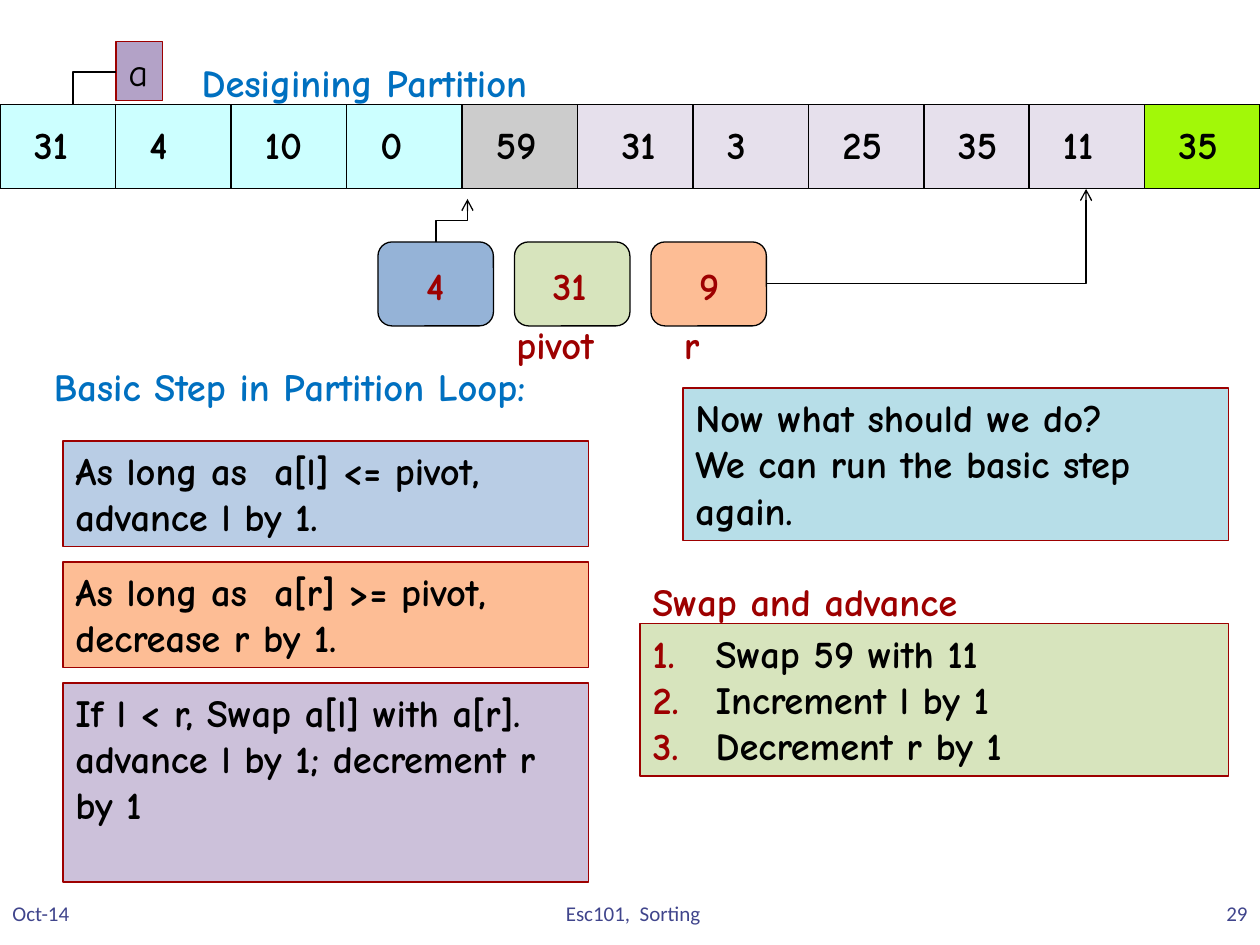
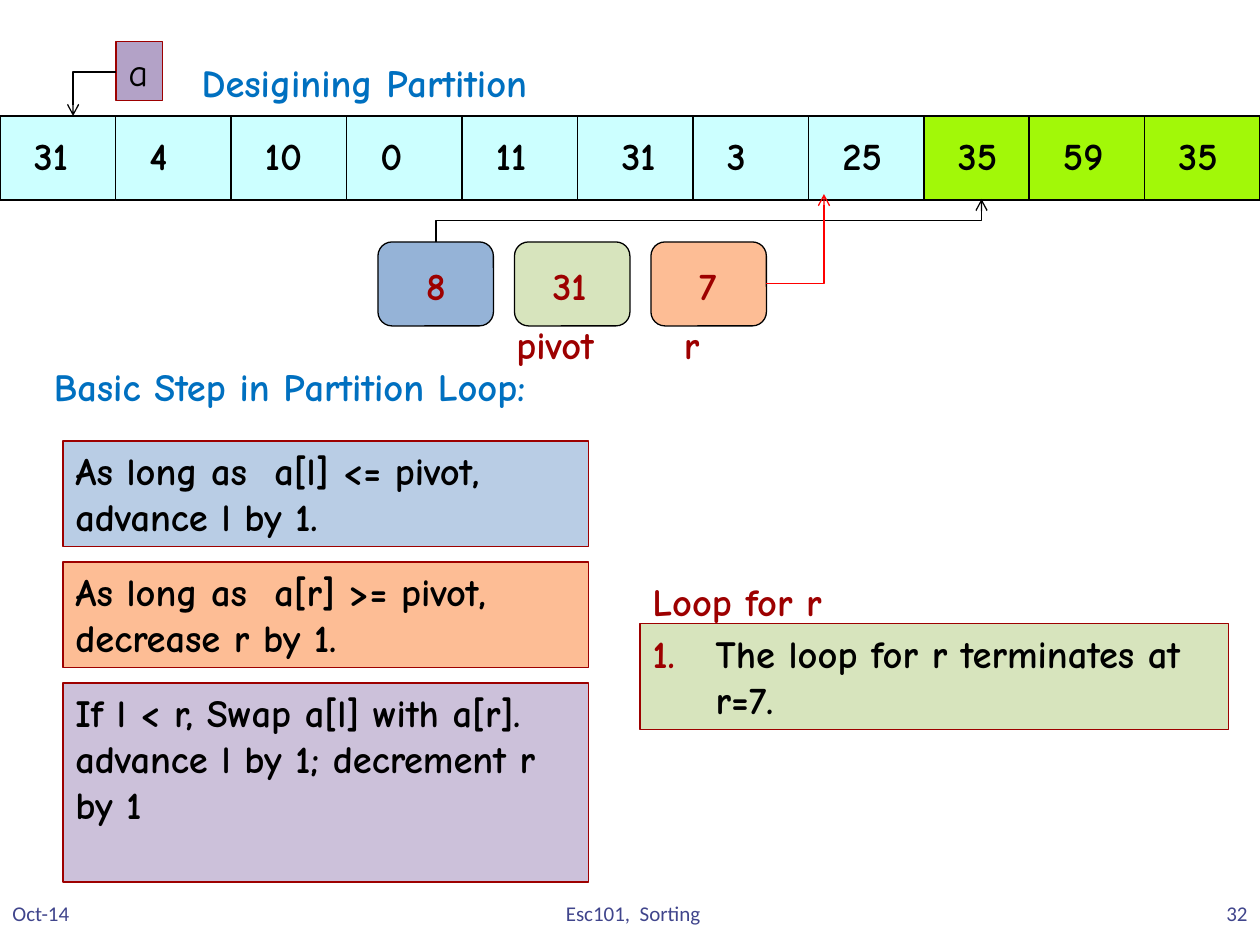
from dataclasses import dataclass

from lxml.etree import SubElement
from pptx import Presentation
from pptx.dml.color import RGBColor
from pptx.enum.shapes import MSO_CONNECTOR, MSO_SHAPE
from pptx.enum.text import MSO_ANCHOR, MSO_AUTO_SIZE, PP_ALIGN
from pptx.oxml.ns import qn
from pptx.util import Inches, Pt


@dataclass(frozen=True)
class Theme:
    font: str = "Comic Neue"
    footer_font: str = "Calibri"
    text_size: int = 22
    footer_size: int = 12
    line_width: float = 0.75
    black: str = "000000"
    dark_red: str = "9D0000"
    red: str = "FF0000"
    heading: str = "0070C0"
    footer: str = "40458C"
    low: str = "CCFFFF"
    current: str = "CCCCCC"
    unseen: str = "E6E0EC"
    high: str = "A2F808"
    left_index: str = "95B3D7"
    right_index: str = "FDBD95"
    pivot: str = "D7E4BD"
    array_name: str = "B3A2C7"
    left_step: str = "B9CDE5"
    swap_step: str = "CCC1DA"
    question: str = "B7DEE8"


THEME = Theme()
UNIT_WIDTH, UNIT_HEIGHT = 11 / 12, 2 / 3
CHIP_PITCH, CHIP_TOP = 13 / 12, 1.92
ROW_NARROWS_AFTER, ROW_SHIFT = 8, 1 / 12
STEP_TOP, STEP_PITCH = 3.5, 0.96
NARROW_INSET, WIDE_INSET = 0.27, 0.35
STEPS = [
    ("As long as  a[l] <= pivot, advance l by 1.", THEME.left_step, 0.84),
    ("As long as  a[r] >= pivot, decrease r by 1.", THEME.right_index, 0.84),
    ("If l < r, Swap a[l] with a[r].\nadvance l by 1; decrement r by 1",
     THEME.swap_step, 1.58),
]


class SlideBuilder:
    def __init__(self, presentation, theme):
        self.presentation = presentation
        self.theme = theme
        self.slide = None

    def new_slide(self):
        layout = self.presentation.slide_layouts.get_by_name("Title and Content")
        self.slide = self.presentation.slides.add_slide(layout)

    def place(self, shape, left, top, width, height):
        shape.left, shape.top = Inches(left), Inches(top)
        shape.width, shape.height = Inches(width), Inches(height)

    def set_text(self, shape, text, color=None, bold=True, size=None, font=None,
                 align=PP_ALIGN.LEFT, anchor=MSO_ANCHOR.TOP, wrap=True):
        frame = shape.text_frame
        frame.text = text
        frame.word_wrap = wrap
        frame.auto_size = (MSO_AUTO_SIZE.NONE if wrap
                           else MSO_AUTO_SIZE.SHAPE_TO_FIT_TEXT)
        frame.vertical_anchor = anchor
        for paragraph in frame.paragraphs:
            paragraph.alignment = align
            paragraph.space_before = Pt(0)
            for run in paragraph.runs:
                run.font.name = font or self.theme.font
                run.font.size = Pt(size or self.theme.text_size)
                run.font.bold = bold
                run.font.color.rgb = RGBColor.from_string(
                    color or self.theme.black)

    def paint(self, shape, fill, line):
        shape.fill.solid()
        shape.fill.fore_color.rgb = RGBColor.from_string(fill)
        self.outline(shape, line)

    def outline(self, shape, color):
        shape.line.color.rgb = RGBColor.from_string(color)
        shape.line.width = Pt(self.theme.line_width)

    def title(self, text):
        title = self.slide.shapes.title
        self.place(title, 1.5, 0.42, 3.06, 0.47)
        self.set_text(title, text, self.theme.heading, wrap=False)

    def label(self, text, left, top, width, color=None):
        box = self.slide.shapes.add_textbox(
            Inches(left), Inches(top), Inches(width), Inches(0.47))
        self.set_text(box, text, color or self.theme.dark_red, wrap=False)

    def box(self, text, left, top, width, height, fill, line=None,
            kind=MSO_SHAPE.RECTANGLE, **text_style):
        shape = self.slide.shapes.add_shape(
            kind, Inches(left), Inches(top), Inches(width), Inches(height))
        shape.shadow.inherit = False
        self.paint(shape, fill, line or self.theme.dark_red)
        self.set_text(shape, text, **text_style)
        return shape

    def number(self, value, left, top, fill, inset, **style):
        """Draw a cell or chip whose number starts at the given inset."""
        shape = self.box(value, left, top, UNIT_WIDTH, UNIT_HEIGHT, fill,
                         self.theme.black, **style)
        frame = shape.text_frame
        frame.margin_left, frame.margin_right = Inches(inset), 0
        frame.margin_top = Inches(0.13)

    def array(self, values, fills, top):
        for index, (value, fill) in enumerate(zip(values, fills)):
            left = index * UNIT_WIDTH
            if index > ROW_NARROWS_AFTER:
                left -= ROW_SHIFT
            inset = WIDE_INSET if index == 5 else NARROW_INSET
            self.number(value, left, top, fill, inset)

    def chips(self, left_index, pivot, right_index):
        theme = self.theme
        chips = [(left_index, theme.left_index, WIDE_INSET),
                 (pivot, theme.pivot, NARROW_INSET),
                 (right_index, theme.right_index, WIDE_INSET)]
        for position, (value, fill, inset) in enumerate(chips):
            self.number(value, 3 + position * CHIP_PITCH, CHIP_TOP, fill, inset,
                        kind=MSO_SHAPE.ROUNDED_RECTANGLE, color=theme.dark_red)
        self.label("pivot", 4, 2.5, 0.91)
        self.label("r", 5.33, 2.5, 0.35)

    def elbow(self, begin, end, preset, rotation=0, color=None):
        """Draw a bent arrow; begin and end are those before rotation."""
        connector = self.slide.shapes.add_connector(
            MSO_CONNECTOR.ELBOW, *(Inches(value) for value in (*begin, *end)))
        self.outline(connector, color or self.theme.black)
        properties = connector._element.spPr
        properties.find(qn("a:prstGeom")).set("prst", preset)
        if rotation:
            properties.find(qn("a:xfrm")).set("rot", str(rotation * 60000))
        SubElement(properties.find(qn("a:ln")), qn("a:tailEnd"), type="arrow")
        SubElement(properties, qn("a:effectLst"))

    def array_pointer(self):
        self.box("a", 0.92, 0.33, 0.37, 0.47, self.theme.array_name,
                 bold=False, wrap=False)
        self.elbow((0.58, 0.92), (0.92, 0.57), "bentConnector2", rotation=180)

    def left_pointer(self, target):
        start, bottom, top = 3.46, 1.92, 1.58
        middle_x, middle_y = (start + target) / 2, (bottom + top) / 2
        half_width, half_height = (bottom - top) / 2, (target - start) / 2
        self.elbow((middle_x + half_width, middle_y + half_height),
                   (middle_x - half_width, middle_y - half_height),
                   "bentConnector3", rotation=90)

    def right_pointer(self, target, top, color):
        self.elbow((6.08, 2.25), (target, top), "bentConnector2", color=color)

    def steps(self):
        self.label("Basic Step in Partition Loop:", 0.33, 2.83, 4.64,
                   self.theme.heading)
        for index, (text, fill, height) in enumerate(STEPS):
            self.box(text, 0.5, STEP_TOP + index * STEP_PITCH, 4.17, height, fill)

    def numbered_list(self, heading, items, height):
        body = self.slide.placeholders[1]
        self.place(body, 5.08, 4.95, 4.67, height)
        self.paint(body, self.theme.pivot, self.theme.dark_red)
        self.set_text(body, "\n".join(items))
        for paragraph in body.text_frame.paragraphs:
            properties = paragraph._p.get_or_add_pPr()
            properties.set("marL", str(Inches(0.5)))
            properties.set("indent", str(Inches(-0.5)))
            bullet_color = SubElement(properties, qn("a:buClr"))
            SubElement(bullet_color, qn("a:srgbClr"), val=self.theme.dark_red)
            SubElement(properties, qn("a:buFont"), typeface=self.theme.font)
            SubElement(properties, qn("a:buAutoNum"), type="arabicPeriod")
        self.label(heading, 5.08, 4.54, 2.91 if len(heading) > 10 else 1.75)

    def footers(self, page):
        for text, left, width, align in (
                ("Oct-14", 0, 2.08, PP_ALIGN.LEFT),
                ("Esc101,  Sorting", 3.22, 3.61, PP_ALIGN.CENTER),
                (page, 7.92, 2.08, PP_ALIGN.RIGHT)):
            box = self.slide.shapes.add_textbox(
                Inches(left), Inches(7), Inches(width), Inches(0.5))
            self.set_text(box, text, self.theme.footer, bold=False,
                          size=self.theme.footer_size,
                          font=self.theme.footer_font,
                          align=align, anchor=MSO_ANCHOR.MIDDLE)

    def partition_slide(self, values, fills, row_top, indices, left_target,
                        right_target, right_top, right_color, heading, items,
                        list_height, page):
        self.new_slide()
        self.title("Desigining Partition")
        self.array_pointer()
        self.array(values, fills, row_top)
        self.chips(*indices)
        self.left_pointer(left_target)
        self.right_pointer(right_target, right_top, right_color)
        self.steps()
        self.numbered_list(heading, items, list_height)
        self.footers(page)


def main():
    presentation = Presentation()
    presentation.slide_width, presentation.slide_height = Inches(10), Inches(7.5)
    builder = SlideBuilder(presentation, THEME)

    builder.partition_slide(
        values=["31", "4", "10", "0", "59", "31", "3", "25", "35", "11", "35"],
        fills=[THEME.low] * 4 + [THEME.current] + [THEME.unseen] * 5 + [THEME.high],
        row_top=0.83, indices=("4", "31", "9"), left_target=3.71,
        right_target=8.62, right_top=1.5, right_color=THEME.black,
        heading="Swap and advance",
        items=["Swap 59 with 11", "Increment l by 1", "Decrement r by 1"],
        list_height=1.21, page="29")
    builder.box("Now what should we do?\nWe can run the basic step again.",
                5.42, 3.08, 4.33, 1.21, THEME.question)

    builder.partition_slide(
        values=["31", "4", "10", "0", "11", "31", "3", "25", "35", "59", "35"],
        fills=[THEME.low] * 8 + [THEME.high] * 3,
        row_top=0.92, indices=("8", "31", "7"), left_target=7.79,
        right_target=6.54, right_top=1.54, right_color=THEME.red,
        heading="Loop for r", items=["The loop for r terminates at r=7."],
        list_height=0.84, page="32")

    presentation.save("out.pptx")


if __name__ == "__main__":
    main()
